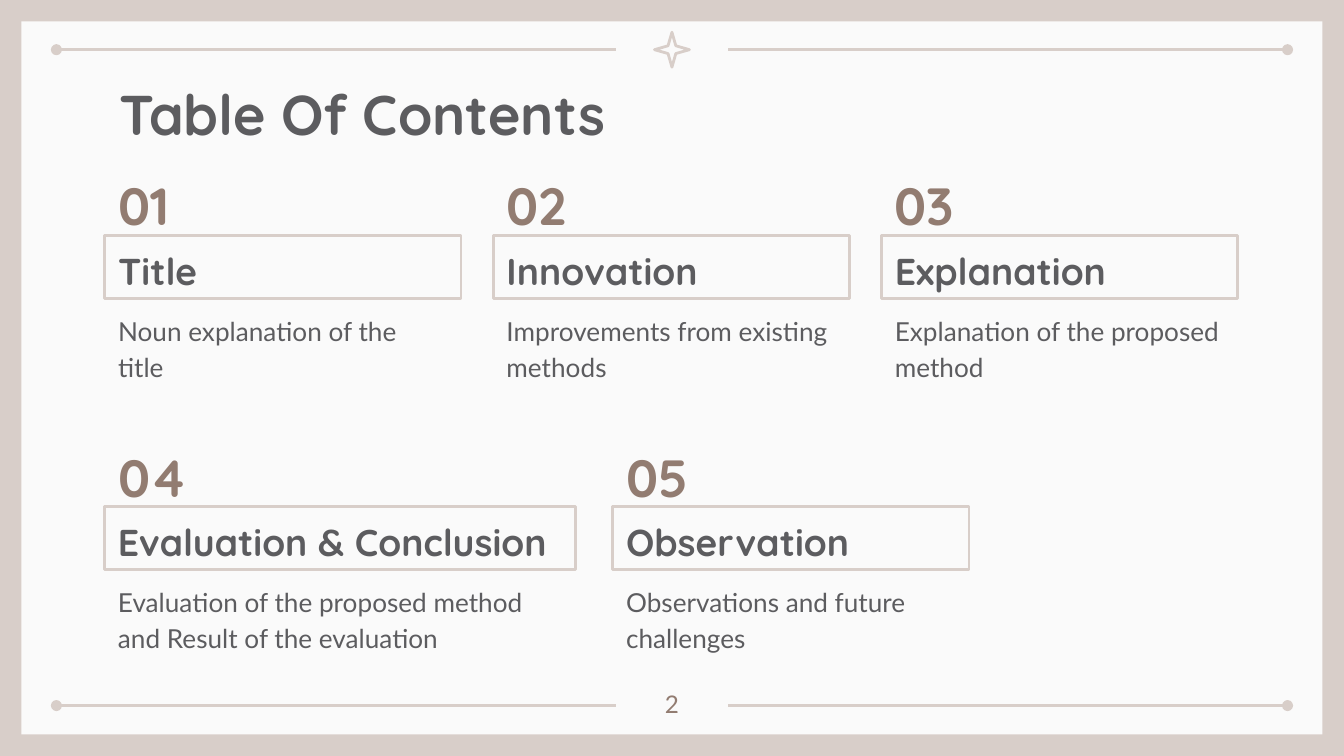
"""Build a table-of-contents slide with five numbered sections in two rows."""
import pptx
import pptx.dml.color
import pptx.enum.shapes
import pptx.enum.text
import pptx.oxml
import pptx.oxml.ns
import pptx.util

HEADING = "Table Of Contents"
PAGE_NUMBER = "2"
ROWS = [
    {"gap": 0.24, "sections": [
        ("01", "Title", "Noun explanation of the title", 2.65),
        ("02", "Innovation", "Improvements from existing methods", 2.65),
        ("03", "Explanation", "Explanation of the proposed method", 2.65)]},
    {"gap": 0.28, "sections": [
        ("04", "Evaluation & Conclusion",
         "Evaluation of the proposed method and Result of the evaluation", 3.5),
        ("05", "Observation", "Observations and future challenges", 2.65)]},
]
WIDTH = 10
HEIGHT = WIDTH * 9 / 16
FRAME, MARGIN, RULE_LENGTH = 0.16, 0.42, 4.16
RULE_TOPS = (0.37, 5.25)
GRID_LEFT, GRID_TOP, ROW_PITCH = 0.78, 1.25, 2.02
BEIGE, PAPER, INK, BROWN = "D8CEC9", "FAFAFA", "5C5C5F", "927C71"
TOP, MIDDLE = pptx.enum.text.MSO_ANCHOR.TOP, pptx.enum.text.MSO_ANCHOR.MIDDLE
LEFT, CENTER = pptx.enum.text.PP_ALIGN.LEFT, pptx.enum.text.PP_ALIGN.CENTER
SHAPES = pptx.enum.shapes.MSO_SHAPE

STYLES = {
    "heading": {"font": ("Quicksand", 30, True, INK), "anchor": TOP, "align": LEFT, "spacing": 1.0},
    "number": {"font": ("Quicksand", 28, True, BROWN), "anchor": MIDDLE, "align": LEFT, "spacing": 1.15},
    "name": {"font": ("Quicksand", 20, True, INK), "anchor": MIDDLE, "align": LEFT, "spacing": 1.15},
    "summary": {"font": ("Lato", 14, False, INK), "anchor": TOP, "align": LEFT, "spacing": 1.15},
    "page": {"font": ("Lato", 13, False, BROWN), "anchor": TOP, "align": CENTER, "spacing": 1.0},
}


def rgb(value):
    return pptx.dml.color.RGBColor.from_string(value)


def inches(*lengths):
    return [pptx.util.Inches(length) for length in lengths]


def write(holder, words, style):
    frame = holder.text_frame
    frame.text = words
    margin = pptx.util.Inches(0.1)
    settings = {"word_wrap": True, "auto_size": pptx.enum.text.MSO_AUTO_SIZE.NONE,
                "vertical_anchor": style["anchor"], "margin_left": margin,
                "margin_right": margin, "margin_top": margin, "margin_bottom": margin}
    for key, value in settings.items():
        setattr(frame, key, value)
    paragraph = frame.paragraphs[0]
    paragraph.alignment, paragraph.line_spacing = style["align"], style["spacing"]
    typeface, size, bold, colour = style["font"]
    font = paragraph.runs[0].font
    for key, value in {"name": typeface, "size": pptx.util.Pt(size), "bold": bold}.items():
        setattr(font, key, value)
    font.color.rgb = rgb(colour)


def add_text(slide, box, words, style):
    write(slide.shapes.add_textbox(*inches(*box)), words, STYLES[style])


def outline(line):
    line.color.rgb = rgb(BEIGE)
    line.width = pptx.util.Pt(1.5)


def add_outlined(slide, kind, box):
    shape = slide.shapes.add_shape(kind, *inches(*box))
    shape.shadow.inherit = False
    shape.fill.background()
    outline(shape.line)
    return shape


def add_rule(slide, start, top, dotted_end):
    rule = slide.shapes.add_connector(
        pptx.enum.shapes.MSO_CONNECTOR.STRAIGHT, *inches(start, top, start + RULE_LENGTH, top))
    outline(rule.line)
    properties = rule._element.spPr
    dot = pptx.oxml.parse_xml(f'<a:{dotted_end} {pptx.oxml.ns.nsdecls("a")} type="oval"/>')
    properties.get_or_add_ln().append(dot)
    properties.append(pptx.oxml.parse_xml(f'<a:effectLst {pptx.oxml.ns.nsdecls("a")}/>'))


def add_section(slide, left, top, section):
    number, name, summary, width = section
    add_text(slide, (left, top, 0.72, 0.48), number, "number")
    box = add_outlined(slide, SHAPES.RECTANGLE, (left, top + 0.5, width, 0.47))
    write(box, name, STYLES["name"])
    add_text(slide, (left, top + 0.96, width, 0.59), summary, "summary")


def main():
    deck = pptx.Presentation()
    deck.slide_width, deck.slide_height = inches(WIDTH, HEIGHT)
    slide = deck.slides.add_slide(deck.slide_layouts[5])
    backdrop = slide.background.fill
    backdrop.solid()
    backdrop.fore_color.rgb = rgb(BEIGE)

    sheet = slide.shapes.add_shape(
        SHAPES.RECTANGLE, *inches(FRAME, FRAME, WIDTH - 2 * FRAME, HEIGHT - 2 * FRAME))
    sheet.shadow.inherit = False
    sheet.fill.solid()
    sheet.fill.fore_color.rgb = rgb(PAPER)
    sheet.line.fill.background()
    slide.shapes._spTree.insert(2, sheet._element)

    for top in RULE_TOPS:
        add_rule(slide, MARGIN, top, "headEnd")
        add_rule(slide, WIDTH - MARGIN - RULE_LENGTH, top, "tailEnd")
    star = add_outlined(slide, SHAPES.STAR_4_POINT, (4.87, 0.24, 0.26, 0.26))
    star.adjustments[0] = 0.157

    heading = slide.shapes.title
    for key, value in zip(("left", "top", "width", "height"), inches(0.79, 0.49, 8.43, 0.63)):
        setattr(heading, key, value)
    write(heading, HEADING, STYLES["heading"])

    for index, row in enumerate(ROWS):
        left = GRID_LEFT
        for section in row["sections"]:
            add_section(slide, left, GRID_TOP + index * ROW_PITCH, section)
            left += section[-1] + row["gap"]
    add_text(slide, (4.7, 5.03, 0.6, 0.36), PAGE_NUMBER, "page")
    deck.save("out.pptx")


if __name__ == "__main__":
    main()
